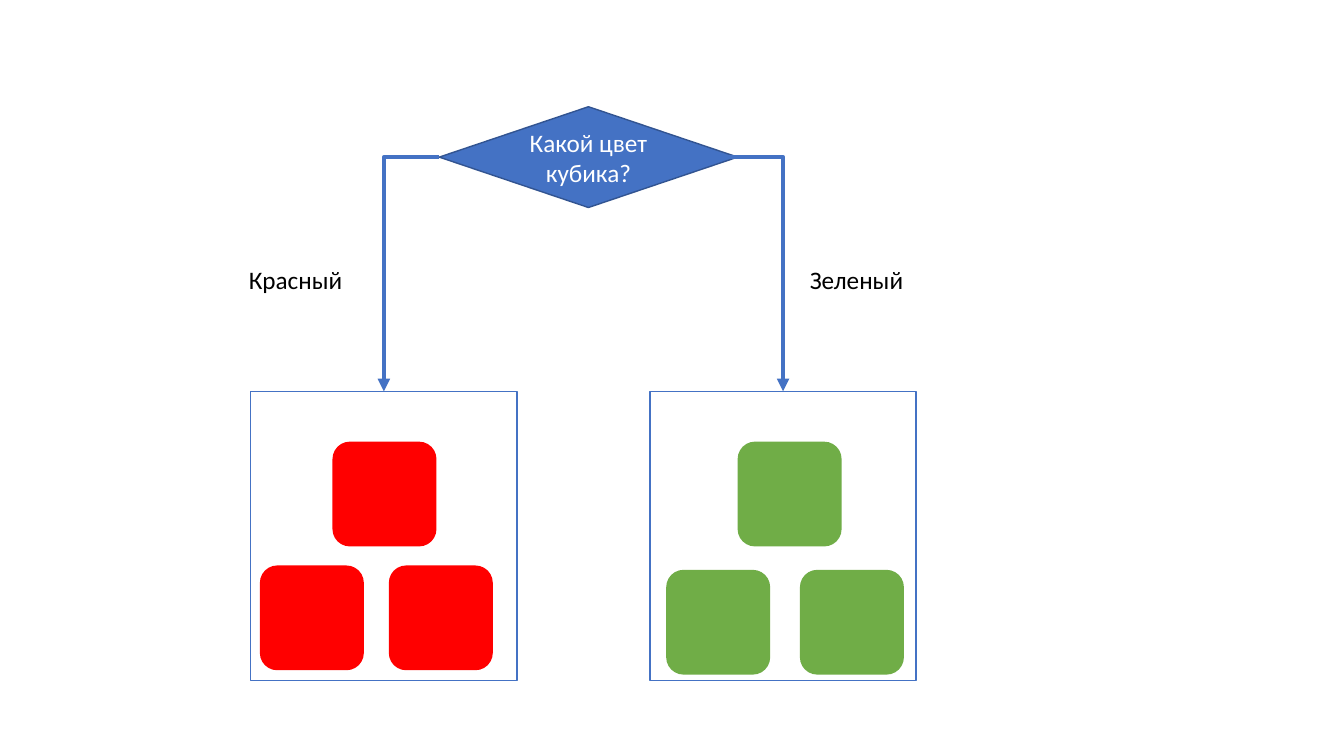
import pptx
import pptx.dml.color
import pptx.enum.shapes
import pptx.enum.text
import pptx.oxml
import pptx.oxml.ns
import pptx.util
from lxml import etree

Cm = pptx.util.Cm
Kind = pptx.enum.shapes.MSO_SHAPE
Anchor = pptx.enum.text.MSO_ANCHOR
AutoSize = pptx.enum.text.MSO_AUTO_SIZE
Align = pptx.enum.text.PP_ALIGN

COLORS = {
    "blue": "4472C4",
    "outline": "325491",
    "white": "FFFFFF",
    "black": "000000",
    "red": "FF0000",
    "green": "70AD47",
}
FONT = {"name": "Calibri", "size": pptx.util.Pt(18)}
QUESTION_FRAME = {"word_wrap": True, "vertical_anchor": Anchor.MIDDLE}
LABEL_FRAME = {"word_wrap": False, "auto_size": AutoSize.SHAPE_TO_FIT_TEXT}
CUBE_SIZE = (2.62, 2.64)
LABEL_SIZE = (2.9, 1.02)

BRANCHES = [
    {
        "box": (6.32, 9.86, 6.71, 7.29),
        "color": "red",
        "label": "Красный",
        "label_at": (-0.3, -3.33),
        "cubes": [(0.23, 4.39), (3.48, 4.39), (2.06, 1.27)],
        "start": (11.07, 3.96),
    },
    {
        "box": (16.38, 9.86, 6.71, 7.29),
        "color": "green",
        "label": "Зеленый",
        "label_at": (3.78, -3.33),
        "cubes": [(0.41, 4.5), (3.78, 4.5), (2.21, 1.27)],
        "start": (17.25, 3.96),
    },
]


def color_of(name):
    return pptx.dml.color.RGBColor.from_string(COLORS[name])


def apply_format(target, values):
    for name, value in values.items():
        setattr(target, name, value)


def add_block(page, kind, box, fill, line=None):
    shape = page.shapes.add_shape(kind, *map(Cm, box))
    shape.shadow.inherit = False
    shape.fill.solid()
    shape.fill.fore_color.rgb = color_of(fill)
    if line:
        shape.line.color.rgb = color_of(line)
        shape.line.width = pptx.util.Pt(1)
    else:
        shape.line.fill.background()
    return shape


def write_text(shape, text, color, frame_format, alignment):
    apply_format(shape.text_frame, frame_format)
    para = shape.text_frame.paragraphs[0]
    para.alignment = alignment
    span = para.add_run()
    span.text = text
    apply_format(span.font, FONT)
    span.font.color.rgb = color_of(color)


def add_arrow(page, start, end, target):
    arrow = page.shapes.add_connector(
        pptx.enum.shapes.MSO_CONNECTOR.ELBOW, *map(Cm, start + end)
    )
    arrow.end_connect(target, 0)
    arrow.line.color.rgb = color_of("blue")
    arrow.line.width = pptx.util.Pt(3)
    qn = pptx.oxml.ns.qn
    properties = arrow._element.spPr
    properties.find(qn("a:prstGeom")).set("prst", "bentConnector2")
    etree.SubElement(properties.find(qn("a:ln")), qn("a:tailEnd"), type="triangle")
    etree.SubElement(properties, qn("a:effectLst"))
    return arrow


def draw_question(page, box):
    diamond = add_block(page, Kind.DIAMOND, box, "blue", "outline")
    write_text(diamond, "Какой цвет кубика?", "white", QUESTION_FRAME, Align.CENTER)
    return diamond


def draw_branch(page, box, color, label, label_at, cubes, start):
    left, top, width, height = box
    bin_shape = add_block(page, Kind.RECTANGLE, box, "white", "blue")
    arrow = add_arrow(page, start, (left + width / 2, top), bin_shape)
    label_box = (left + label_at[0], top + label_at[1]) + LABEL_SIZE
    caption = page.shapes.add_textbox(*map(Cm, label_box))
    write_text(caption, label, "black", LABEL_FRAME, Align.LEFT)
    for across, down in cubes:
        cube_box = (left + across, top + down) + CUBE_SIZE
        add_block(page, Kind.ROUNDED_RECTANGLE, cube_box, color)
    return arrow


def main():
    deck = pptx.Presentation()
    apply_format(deck, {"slide_width": Cm(33.87), "slide_height": Cm(19.05)})
    page = deck.slides.add_slide(deck.slide_layouts[6])
    diamond = draw_question(page, (11.07, 2.69, 7.52, 2.54))
    arrows = [draw_branch(page, **branch) for branch in BRANCHES]
    arrows[0].begin_connect(diamond, 1)
    deck.save("out.pptx")


if __name__ == "__main__":
    main()
